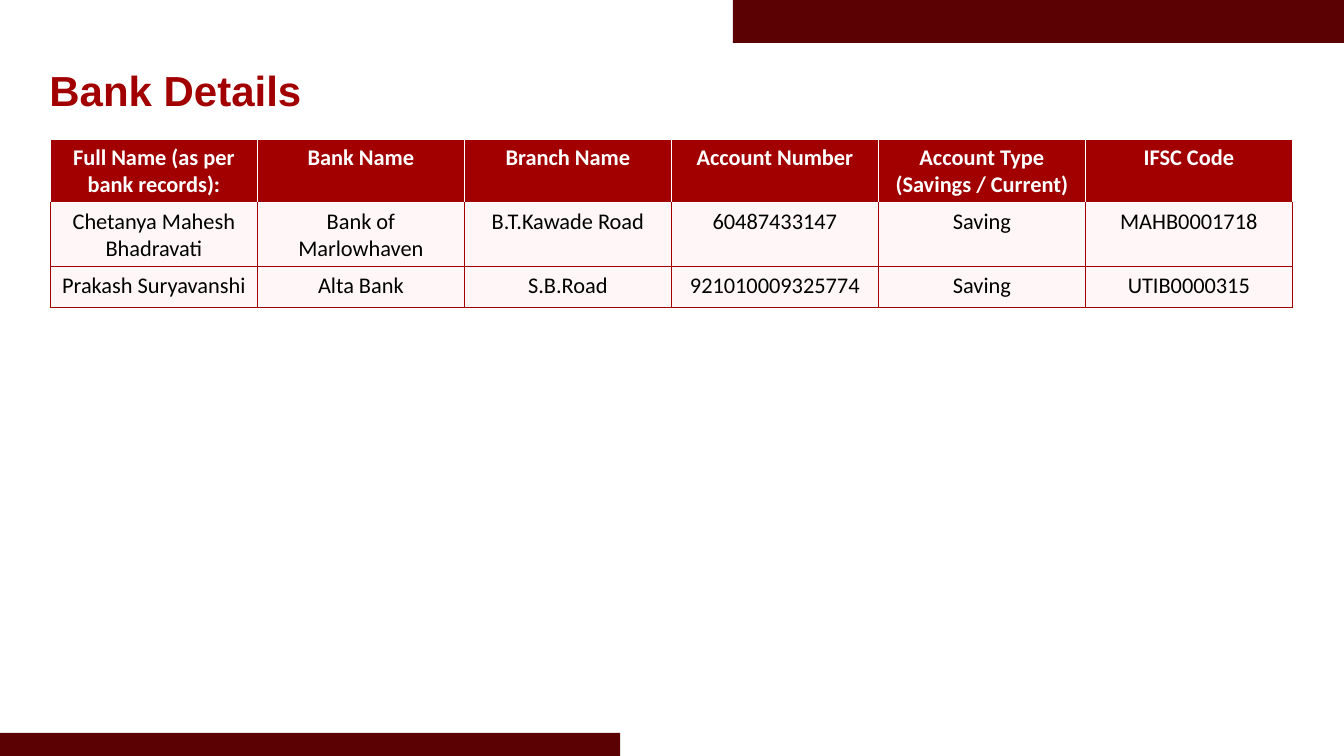
import pptx
import pptx.util
import pptx.dml.color
import pptx.enum.shapes
import pptx.enum.text
import pptx.oxml
import pptx.oxml.ns

Pt = pptx.util.Pt
RGBColor = pptx.dml.color.RGBColor

MAROON = RGBColor(0x5B, 0x00, 0x03)
RED = RGBColor(0xA2, 0x00, 0x00)
BLUSH = RGBColor(0xFF, 0xF7, 0xF7)
WHITE = RGBColor(0xFF, 0xFF, 0xFF)
BLACK = RGBColor(0x00, 0x00, 0x00)

BARS = [(0, 523.5, 443, 16.5), (523.5, 0, 436.5, 30.6)]
ROWS = [
    ["Full Name (as per bank records):", "Bank Name", "Branch Name",
     "Account Number", "Account Type (Savings / Current)", "IFSC Code"],
    ["Chetanya Mahesh Bhadravati", "Bank of Marlowhaven", "B.T.Kawade Road",
     "60487433147", "Saving", "MAHB0001718"],
    ["Prakash Suryavanshi", "Alta Bank", "S.B.Road",
     "921010009325774", "Saving", "UTIB0000315"],
]
COL_WIDTH = 147.87
ROW_HEIGHT = 29.2


def add_border(cell, side, color):
    """Draw a 1 pt line on one side (L, R, T or B); call before filling the cell."""
    ns = pptx.oxml.ns.nsdecls("a")
    cell._tc.get_or_add_tcPr().append(pptx.oxml.parse_xml(
        f'<a:ln{side} {ns} w="12700"><a:solidFill><a:srgbClr val="{color}"/>'
        f'</a:solidFill></a:ln{side}>'))


prs = pptx.Presentation()
prs.slide_width, prs.slide_height = Pt(960), Pt(540)
s = prs.slides.add_slide(prs.slide_layouts.get_by_name("Title Only"))

# Corner bars
for bar in BARS:
    sp = s.shapes.add_shape(pptx.enum.shapes.MSO_SHAPE.RECTANGLE, *map(Pt, bar))
    sp.shadow.inherit = False
    sp.fill.solid()
    sp.fill.fore_color.rgb = MAROON
    sp.line.fill.background()

# Title
title = s.shapes.title
title.left, title.top, title.width, title.height = map(Pt, (35.3, 46.1, 630.7, 36))
tf = title.text_frame
tf.margin_left = tf.margin_top = tf.margin_right = tf.margin_bottom = 0
tf.vertical_anchor = pptx.enum.text.MSO_ANCHOR.TOP
tf.auto_size = pptx.enum.text.MSO_AUTO_SIZE.SHAPE_TO_FIT_TEXT
tf.text = "Bank Details"
p = tf.paragraphs[0]
p.alignment = pptx.enum.text.PP_ALIGN.LEFT
font = p.runs[0].font
font.name, font.size, font.bold = "Arial", Pt(30), True
font.color.rgb = RED

# Bank table
table = s.shapes.add_table(
    len(ROWS), len(ROWS[0]), Pt(36), Pt(99.3),
    Pt(COL_WIDTH * len(ROWS[0])), Pt(ROW_HEIGHT * len(ROWS))).table
for column in table.columns:
    column.width = Pt(COL_WIDTH)
for i, row in enumerate(ROWS):
    table.rows[i].height = Pt(ROW_HEIGHT)
    header = i == 0
    for j, text in enumerate(row):
        cell = table.cell(i, j)
        for side in "LRTB":
            white = header or (i == 1 and side == "T")
            add_border(cell, side, WHITE if white else RED)
        cell.fill.solid()
        cell.fill.fore_color.rgb = RED if header else BLUSH
        cell.text_frame.text = text
        p = cell.text_frame.paragraphs[0]
        p.alignment = pptx.enum.text.PP_ALIGN.CENTER
        font = p.runs[0].font
        font.name, font.size, font.bold = "Calibri", Pt(16), header
        font.color.rgb = WHITE if header else BLACK

prs.save("out.pptx")
